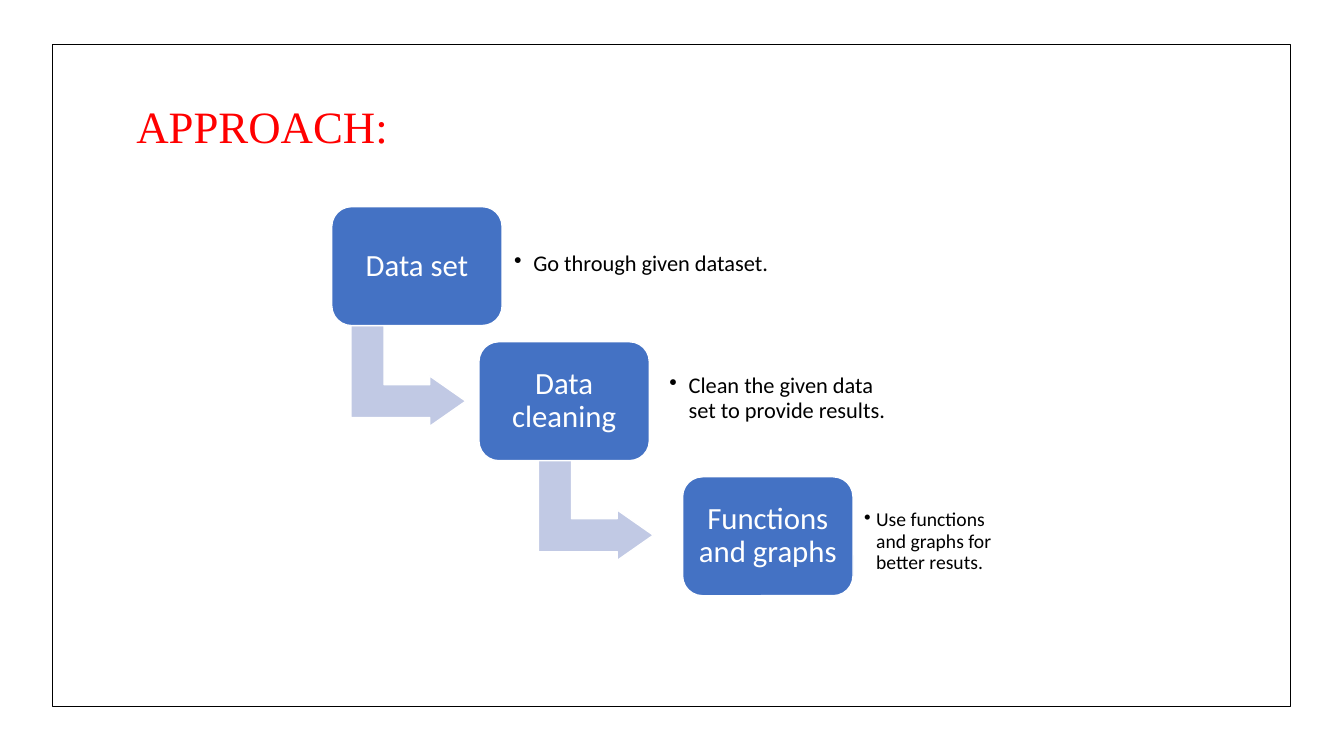
from lxml import etree
from pptx import Presentation
from pptx.dml.color import RGBColor
from pptx.enum.shapes import MSO_SHAPE
from pptx.enum.text import MSO_ANCHOR, MSO_AUTO_SIZE, PP_ALIGN
from pptx.oxml.ns import qn
from pptx.util import Inches, Pt

COLORS = {"title": "FF0000", "box": "4472C4", "arrow": "C1C9E4",
          "white": "FFFFFF", "black": "000000"}

STEPS = [
    {"name": "Data set", "box": (3.29, 2.05),
     "note": "Go through given dataset.", "area": (5.01, 2.15, 3.13, 0.95),
     "size": 16, "inset": 0.09, "indent": 0.19, "arrow": (3.55, 3.16)},
    {"name": "Data cleaning", "box": (4.75, 3.39),
     "note": "Clean the given data set to provide results.",
     "area": (6.55, 3.48, 2.35, 0.95),
     "size": 16, "inset": 0.09, "indent": 0.19, "arrow": (5.41, 4.49)},
    {"name": "Functions and graphs", "box": (6.77, 4.73),
     "note": "Use functions and graphs for better resuts.",
     "area": (8.5, 4.9, 1.5, 0.95),
     "size": 14, "inset": 0.07, "indent": 0.12, "arrow": None},
]


def color(name):
    return RGBColor.from_string(COLORS[name])


def add_run(para, text, size, tint, font="Calibri"):
    run = para.add_run()
    run.text = text
    run.font.size = Pt(size)
    run.font.name = font
    run.font.color.rgb = color(tint)


def set_frame(frame, inset):
    frame.word_wrap = True
    frame.vertical_anchor = MSO_ANCHOR.MIDDLE
    frame.margin_left = frame.margin_right = Inches(inset)
    frame.margin_top = frame.margin_bottom = Inches(inset)
    para = frame.paragraphs[0]
    para.line_spacing = 0.9
    return para


def add_shape(slide, kind, box, fill, line, width, adjust=()):
    shape = slide.shapes.add_shape(kind, *map(Inches, box))
    shape.shadow.inherit = False
    if fill:
        shape.fill.solid()
        shape.fill.fore_color.rgb = color(fill)
    else:
        shape.fill.background()
    shape.line.color.rgb = color(line)
    shape.line.width = Pt(width)
    for i, value in enumerate(adjust):
        shape.adjustments[i] = value
    return shape


def add_title(slide, box):
    frame = slide.shapes.add_textbox(*map(Inches, box)).text_frame
    frame.word_wrap = False
    frame.auto_size = MSO_AUTO_SIZE.SHAPE_TO_FIT_TEXT
    para = frame.paragraphs[0]
    para.alignment = PP_ALIGN.CENTER
    add_run(para, "APPROACH:", 32, "title", "Times New Roman")


def add_box(slide, box, name):
    shape = add_shape(slide, MSO_SHAPE.ROUNDED_RECTANGLE, box, "box",
                      "white", 1, [0.167])
    para = set_frame(shape.text_frame, 0.09)
    para.alignment = PP_ALIGN.CENTER
    add_run(para, name, 22, "white")


def add_note(slide, box, step):
    area = slide.shapes.add_textbox(*map(Inches, box))
    para = set_frame(area.text_frame, step["inset"])
    para.level = 1
    add_run(para, step["note"], step["size"], "black")
    props = para._p.get_or_add_pPr()
    indent = Inches(step["indent"])
    props.set("marL", str(indent))
    props.set("indent", str(-indent))
    etree.SubElement(props, qn("a:buChar")).set("char", "•")


def add_arrow(slide, box):
    arrow = add_shape(slide, MSO_SHAPE.BENT_UP_ARROW, box, "arrow",
                      "white", 1, [0.328, 0.25, 0.358])
    arrow.rotation = 90


def add_step(slide, step):
    if step["arrow"]:
        add_arrow(slide, (*step["arrow"], 1, 1.14))
    add_box(slide, (*step["box"], 1.69, 1.18), step["name"])
    add_note(slide, step["area"], step)


def main():
    deck = Presentation()
    deck.slide_width = Inches(13.33)
    deck.slide_height = Inches(7.5)
    slide = deck.slides.add_slide(deck.slide_layouts[6])
    add_title(slide, (1.24, 0.93, 2.72, 0.64))
    for step in STEPS:
        add_step(slide, step)
    add_shape(slide, MSO_SHAPE.RECTANGLE, (0.52, 0.44, 12.28, 6.57),
              None, "black", 0.75)
    deck.save("out.pptx")


if __name__ == "__main__":
    main()
